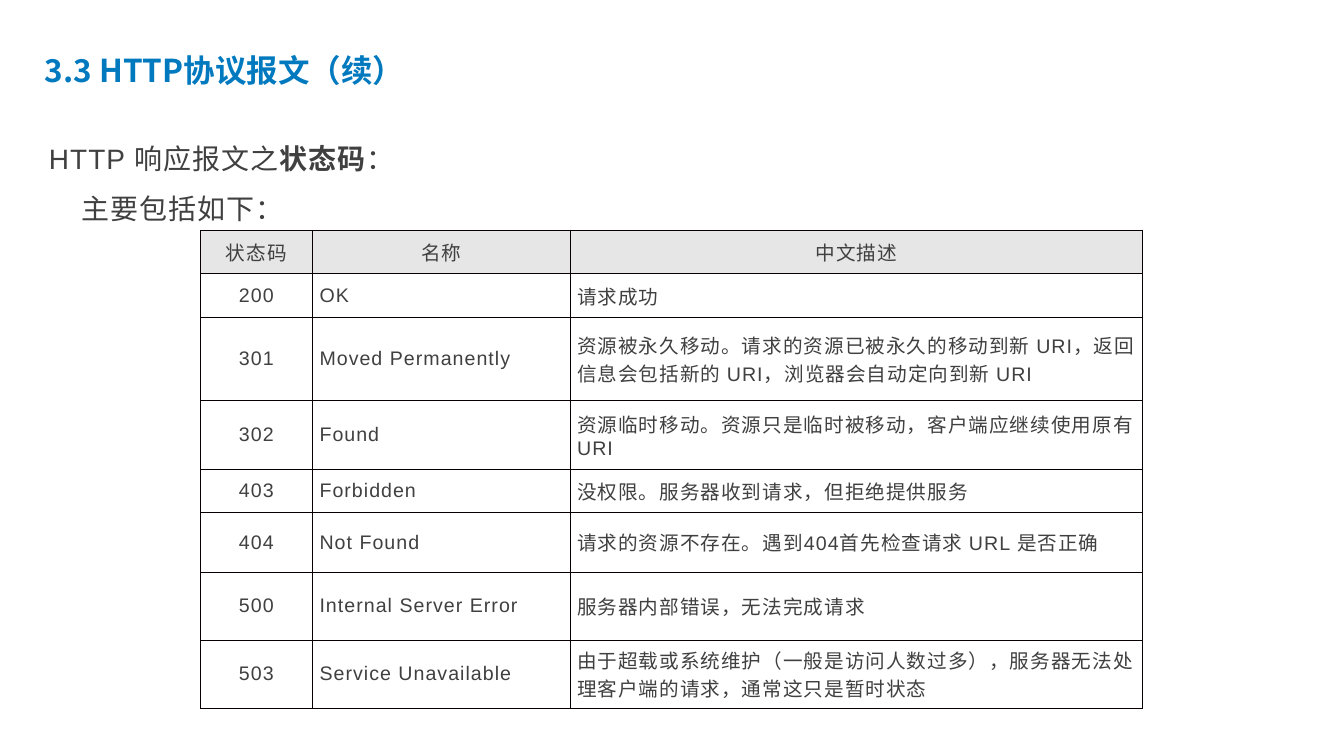
"""Build the slide on HTTP response status codes."""
from lxml.etree import SubElement
from pptx import Presentation
from pptx.dml.color import RGBColor
from pptx.enum.text import MSO_ANCHOR as Anchor, MSO_AUTO_SIZE as AutoSize, PP_ALIGN as Align
from pptx.oxml.ns import qn
from pptx.util import Pt

BLUE = RGBColor(0x00, 0x79, 0xBF)
DARK = RGBColor(0x40, 0x40, 0x40)
HEADER_GREY = RGBColor(0xE7, 0xE6, 0xE6)
WHITE = RGBColor(0xFF, 0xFF, 0xFF)
BORDER = RGBColor(0x08, 0x00, 0x00)
LATIN_FONT, CHINESE_FONT = "Arial", "Noto Sans CJK SC"

TITLE = "3.3 HTTP协议报文（续）"
INTRO = [
    [("HTTP 响应报文之", False), ("状态码", True), ("：", False)],
    [(" 主要包括如下：", False)],
]
INTRO_INDENTS = [0, 36]
STATUS_ROWS = [
    ("状态码", "名称", "中文描述"),
    ("200", "OK", "请求成功"),
    ("301", "Moved Permanently",
     "资源被永久移动。请求的资源已被永久的移动到新 URI，返回信息会包括新的 URI，浏览器会自动定向到新 URI"),
    ("302", "Found", "资源临时移动。资源只是临时被移动，客户端应继续使用原有URI"),
    ("403", "Forbidden", "没权限。服务器收到请求，但拒绝提供服务"),
    ("404", "Not Found", "请求的资源不存在。遇到404首先检查请求 URL 是否正确"),
    ("500", "Internal Server Error", "服务器内部错误，无法完成请求"),
    ("503", "Service Unavailable",
     "由于超载或系统维护（一般是访问人数过多），服务器无法处理客户端的请求，通常这只是暂时状态"),
]
COLUMN_WIDTHS = [160.5, 368, 818]
ROW_HEIGHTS = [62.5, 62.5, 119, 97.5, 62.5, 84.5, 97.5, 97.5]


def style_run(run, size, color, bold=False, latin=LATIN_FONT, spacing=None):
    font = run.font
    font.size, font.bold, font.name = Pt(size), bold, latin
    font.color.rgb = color
    properties = run._r.get_or_add_rPr()
    SubElement(properties, qn("a:ea")).set("typeface", CHINESE_FONT)
    if spacing:
        properties.set("spc", str(round(spacing * 100)))


def set_margins(text_frame, margin):
    text_frame.margin_left = text_frame.margin_right = Pt(margin)
    text_frame.margin_top = text_frame.margin_bottom = Pt(margin)


def add_borders(cell):
    properties = cell._tc.get_or_add_tcPr()
    for index, side in enumerate(("lnL", "lnR", "lnT", "lnB")):
        line = properties.makeelement(qn(f"a:{side}"), {"w": str(Pt(1))})
        fill = SubElement(line, qn("a:solidFill"))
        SubElement(fill, qn("a:srgbClr")).set("val", str(BORDER))
        properties.insert(index, line)


def add_title(slide):
    title = slide.shapes.title
    title.left, title.top, title.width, title.height = Pt(58), Pt(58), Pt(616), Pt(76)
    text_frame = title.text_frame
    text_frame.text = TITLE
    text_frame.auto_size = AutoSize.NONE
    text_frame.vertical_anchor = Anchor.BOTTOM
    set_margins(text_frame, 6)
    paragraph = text_frame.paragraphs[0]
    paragraph.alignment = Align.LEFT
    paragraph.line_spacing = 0.9
    style_run(paragraph.runs[0], 45, BLUE, True, CHINESE_FONT)


def add_intro(slide):
    text_frame = slide.shapes.add_textbox(Pt(64), Pt(171.5), Pt(1468), Pt(156)).text_frame
    text_frame.word_wrap = True
    set_margins(text_frame, 6)
    for index, (parts, indent) in enumerate(zip(INTRO, INTRO_INDENTS)):
        paragraph = text_frame.add_paragraph() if index else text_frame.paragraphs[0]
        paragraph.alignment = Align.JUSTIFY
        paragraph.line_spacing = 1.5
        paragraph._p.get_or_add_pPr().set("indent", str(Pt(indent)))
        for text, bold in parts:
            run = paragraph.add_run()
            run.text = text
            style_run(run, 40, DARK, bold, spacing=1.5)


def add_status_table(slide):
    table = slide.shapes.add_table(
        len(STATUS_ROWS), len(COLUMN_WIDTHS), Pt(286), Pt(328.5),
        Pt(sum(COLUMN_WIDTHS)), Pt(sum(ROW_HEIGHTS))).table
    for column, width in zip(table.columns, COLUMN_WIDTHS):
        column.width = Pt(width)
    for row_index, (texts, height) in enumerate(zip(STATUS_ROWS, ROW_HEIGHTS)):
        table.rows[row_index].height = Pt(height)
        for column_index, text in enumerate(texts):
            cell = table.cell(row_index, column_index)
            cell.margin_left = cell.margin_right = Pt(10)
            cell.margin_top = cell.margin_bottom = Pt(4)
            cell.vertical_anchor = Anchor.MIDDLE
            cell.fill.solid()
            cell.fill.fore_color.rgb = WHITE if row_index else HEADER_GREY
            add_borders(cell)
            cell.text_frame.text = text
            paragraph = cell.text_frame.paragraphs[0]
            centered = row_index == 0 or column_index == 0
            paragraph.alignment = Align.CENTER if centered else Align.LEFT
            style_run(paragraph.runs[0], 28, DARK, spacing=1.5)


def main():
    presentation = Presentation()
    presentation.slide_width, presentation.slide_height = Pt(1920), Pt(1080)
    slide = presentation.slides.add_slide(presentation.slide_layouts[5])
    add_title(slide)
    add_intro(slide)
    add_status_table(slide)
    presentation.save("out.pptx")


if __name__ == "__main__":
    main()
